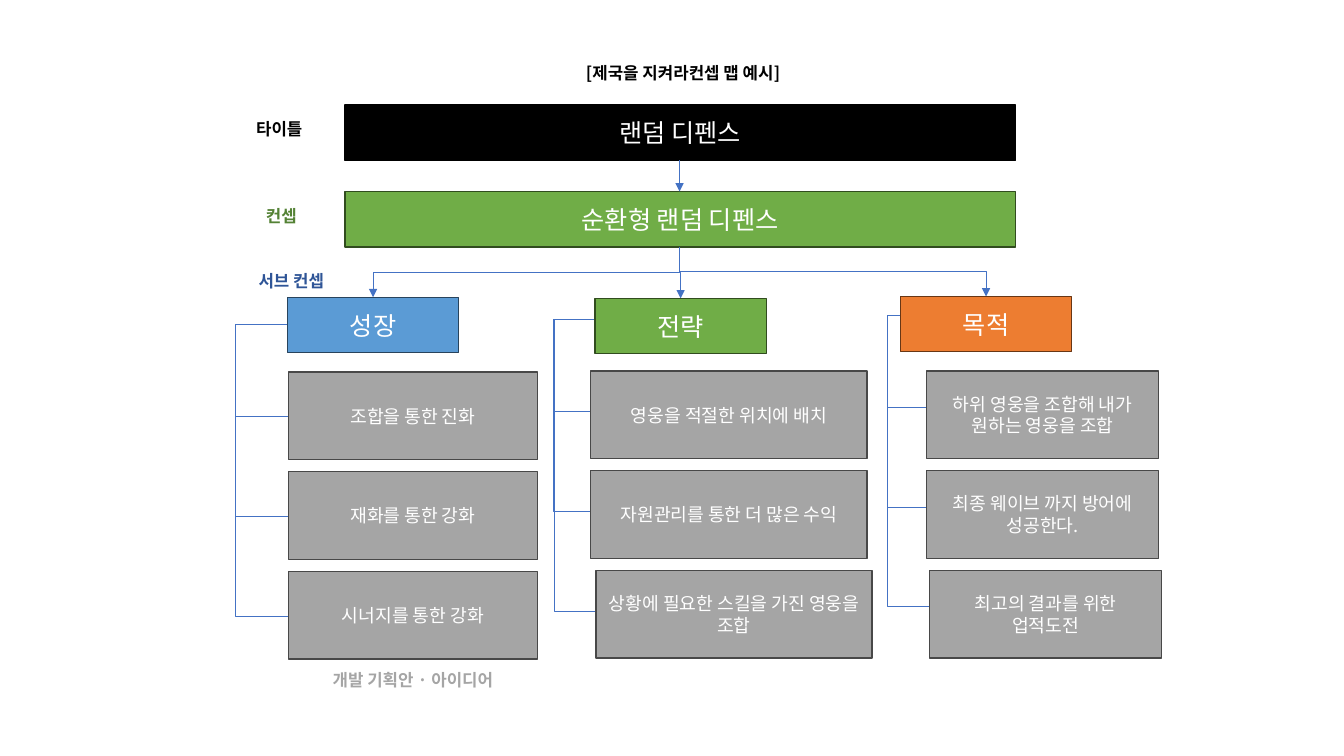
from dataclasses import dataclass

from pptx import Presentation
from pptx.dml.color import RGBColor
from pptx.enum.shapes import MSO_CONNECTOR as Link, MSO_SHAPE as Preset
from pptx.enum.text import MSO_ANCHOR as Anchor, PP_ALIGN as Align
from pptx.oxml.ns import qn
from pptx.shapes.autoshape import Shape
from pptx.shapes.connector import Connector
from pptx.slide import Slide
from pptx.util import Inches, Pt
from lxml.etree import SubElement


@dataclass(frozen=True)
class Theme:
    font: str = "Noto Sans CJK KR"
    black: str = "000000"
    white: str = "FFFFFF"
    green: str = "70AD47"
    green_edge: str = "314C1F"
    blue: str = "5B9BD5"
    blue_edge: str = "28445D"
    orange: str = "ED7D31"
    orange_edge: str = "683715"
    grey: str = "A5A5A5"
    grey_edge: str = "484848"
    link: str = "4472C4"
    concept_label: str = "548235"
    sub_concept_label: str = "2F5597"
    heading_size: float = 18
    item_size: float = 13
    label_size: float = 12
    box_line: float = 1
    link_line: float = 0.5


THEME = Theme()


@dataclass(frozen=True)
class Banner:
    text: str
    top: float
    fill: str
    edge: str


@dataclass(frozen=True)
class Label:
    text: str
    left: float
    top: float
    width: float
    color: str


@dataclass(frozen=True)
class SubConcept:
    text: str
    left: float
    top: float
    fill: str
    edge: str
    rail_left: float
    rail_top: float
    item_left: float
    item_top: float
    item_width: float
    last_shift: float  # how far the last item sits to the right
    items: tuple[str, ...]


BANNER_LEFT, BANNER_WIDTH, HEAD_WIDTH = 3.42, 6.65, 1.7
HEADING_HEIGHT, ITEM_HEIGHT, ITEM_PITCH = 0.55, 0.87, 0.99
FIRST_BRANCH = 0.91
CENTER = 6.74

BANNERS = (
    Banner("랜덤 디펜스", 1.04, THEME.black, THEME.black),
    Banner("순환형 랜덤 디펜스", 1.9, THEME.green, THEME.green_edge),
)
LABELS = (
    Label("타이틀", 1.92, 1.05, 1.7, THEME.black),
    Label("컨셉", 1.94, 1.91, 1.7, THEME.concept_label),
    Label("서브 컨셉", 1.79, 2.56, 2.2, THEME.sub_concept_label),
    Label("개발 기획안 · 아이디어", 2.22, 6.51, 3.75, THEME.grey),
)
SUB_CONCEPTS = (
    SubConcept("성장", 2.85, 2.95, THEME.blue, THEME.blue_edge, 2.33, 3.22, 2.86, 3.69, 2.47, 0,
               ("조합을 통한 진화", "재화를 통한 강화", "시너지를 통한 강화")),
    SubConcept("전략", 5.9, 2.96, THEME.green, THEME.green_edge, 5.49, 3.17, 5.86, 3.68, 2.74, 0.05,
               ("영웅을 적절한 위치에 배치", "자원관리를 통한 더 많은 수익",
                "상황에 필요한 스킬을 가진 영웅을 조합")),
    SubConcept("목적", 8.93, 2.94, THEME.orange, THEME.orange_edge, 8.8, 3.13, 9.19, 3.68, 2.3, 0.03,
               ("하위 영웅을 조합해 내가 원하는 영웅을 조합", "최종 웨이브 까지 방어에 성공한다.",
                "최고의 결과를 위한 업적도전")),
)


def write(box: Shape, text: str, *, size: float, color: str, bold: bool = False,
          anchor: Anchor = Anchor.MIDDLE, spacing: float = 1.0) -> None:
    frame = box.text_frame
    frame.word_wrap = True
    frame.vertical_anchor = anchor
    para = frame.paragraphs[0]
    para.alignment = Align.CENTER
    para.line_spacing = spacing
    span = para.add_run()
    span.text = text
    span.font.name = THEME.font
    span.font.size = Pt(size)
    span.font.bold = bold
    span.font.color.rgb = RGBColor.from_string(color)
    east_asian = SubElement(span.font._element, qn("a:ea"))
    east_asian.set("typeface", THEME.font)


def write_label(box: Shape, text: str, color: str) -> None:
    frame = box.text_frame
    frame.margin_left = frame.margin_right = Inches(0.1)
    frame.margin_top = frame.margin_bottom = Inches(0.1)
    write(box, text, size=THEME.label_size, color=color, bold=True,
          anchor=Anchor.TOP, spacing=1.15)


def add_box(page: Slide, text: str, left: float, top: float, width: float, height: float,
            *, fill: str, edge: str, size: float) -> None:
    box = page.shapes.add_shape(Preset.RECTANGLE, Inches(left), Inches(top),
                                Inches(width), Inches(height))
    box.shadow.inherit = False
    box.fill.solid()
    box.fill.fore_color.rgb = RGBColor.from_string(fill)
    box.line.color.rgb = RGBColor.from_string(edge)
    box.line.width = Pt(THEME.box_line)
    write(box, text, size=size, color=THEME.white)


def add_link(page: Slide, kind: Link, x1: float, y1: float, x2: float, y2: float,
             *, arrow: bool = False) -> Connector:
    link = page.shapes.add_connector(kind, Inches(x1), Inches(y1), Inches(x2), Inches(y2))
    link.line.color.rgb = RGBColor.from_string(THEME.link)
    link.line.width = Pt(THEME.link_line)
    if arrow:
        SubElement(link.line._get_or_add_ln(), qn("a:tailEnd")).set("type", "triangle")
    SubElement(link._element.spPr, qn("a:effectLst"))
    return link


def add_drop(page: Slide, x1: float, y1: float, x2: float, y2: float) -> None:
    """Add an elbow arrow that leaves downwards: a sideways elbow turned by 90 degrees."""
    middle_x, middle_y = (x1 + x2) / 2, (y1 + y2) / 2
    half_width, half_height = (x2 - x1) / 2, (y2 - y1) / 2
    link = add_link(page, Link.ELBOW, middle_x - half_height, middle_y + half_width,
                    middle_x + half_height, middle_y - half_width, arrow=True)
    link._element.spPr.find(qn("a:xfrm")).set("rot", str(90 * 60000))


def add_branch(page: Slide, x1: float, y1: float, x2: float, y2: float, rail: float) -> None:
    """Add an elbow that runs down a rail to the left of both its ends."""
    link = add_link(page, Link.ELBOW, x1, y1, x2, y2)
    guides = link._element.spPr.find(qn("a:prstGeom")).get_or_add_avLst()
    guide = SubElement(guides, qn("a:gd"))
    guide.set("name", "adj1")
    guide.set("fmla", f"val {round((rail - x1) / (x2 - x1) * 100000)}")


def add_sub_concept(page: Slide, sub: SubConcept) -> None:
    add_drop(page, CENTER, BANNERS[-1].top + HEADING_HEIGHT, sub.left + HEAD_WIDTH / 2, sub.top)
    for index, text in enumerate(sub.items):
        is_last = index == len(sub.items) - 1
        left = sub.item_left + (sub.last_shift if is_last else 0)
        offset = index * ITEM_PITCH
        add_branch(page, sub.left, sub.rail_top, left,
                   sub.rail_top + FIRST_BRANCH + offset, sub.rail_left)
        add_box(page, text, left, sub.item_top + offset, sub.item_width, ITEM_HEIGHT,
                fill=THEME.grey, edge=THEME.grey_edge, size=THEME.item_size)
    add_box(page, sub.text, sub.left, sub.top, HEAD_WIDTH, HEADING_HEIGHT,
            fill=sub.fill, edge=sub.edge, size=THEME.heading_size)


def main() -> None:
    deck = Presentation()
    deck.slide_width, deck.slide_height = Inches(13.33), Inches(7.5)
    page = deck.slides.add_slide(deck.slide_layouts.get_by_name("Title Only"))

    title = page.shapes.title
    title.left, title.top = Inches(3.38), Inches(0.49)
    title.width, title.height = Inches(6.79), Inches(0.43)
    write_label(title, "[제국을 지켜라컨셉 맵 예시]", THEME.black)

    for banner in BANNERS:
        add_box(page, banner.text, BANNER_LEFT, banner.top, BANNER_WIDTH, HEADING_HEIGHT,
                fill=banner.fill, edge=banner.edge, size=THEME.heading_size)
    add_link(page, Link.STRAIGHT, CENTER, BANNERS[0].top + HEADING_HEIGHT,
             CENTER, BANNERS[1].top, arrow=True)
    for sub in SUB_CONCEPTS:
        add_sub_concept(page, sub)
    for label in LABELS:
        box = page.shapes.add_textbox(Inches(label.left), Inches(label.top),
                                      Inches(label.width), Inches(0.51))
        write_label(box, label.text, label.color)
    deck.save("out.pptx")


if __name__ == "__main__":
    main()
